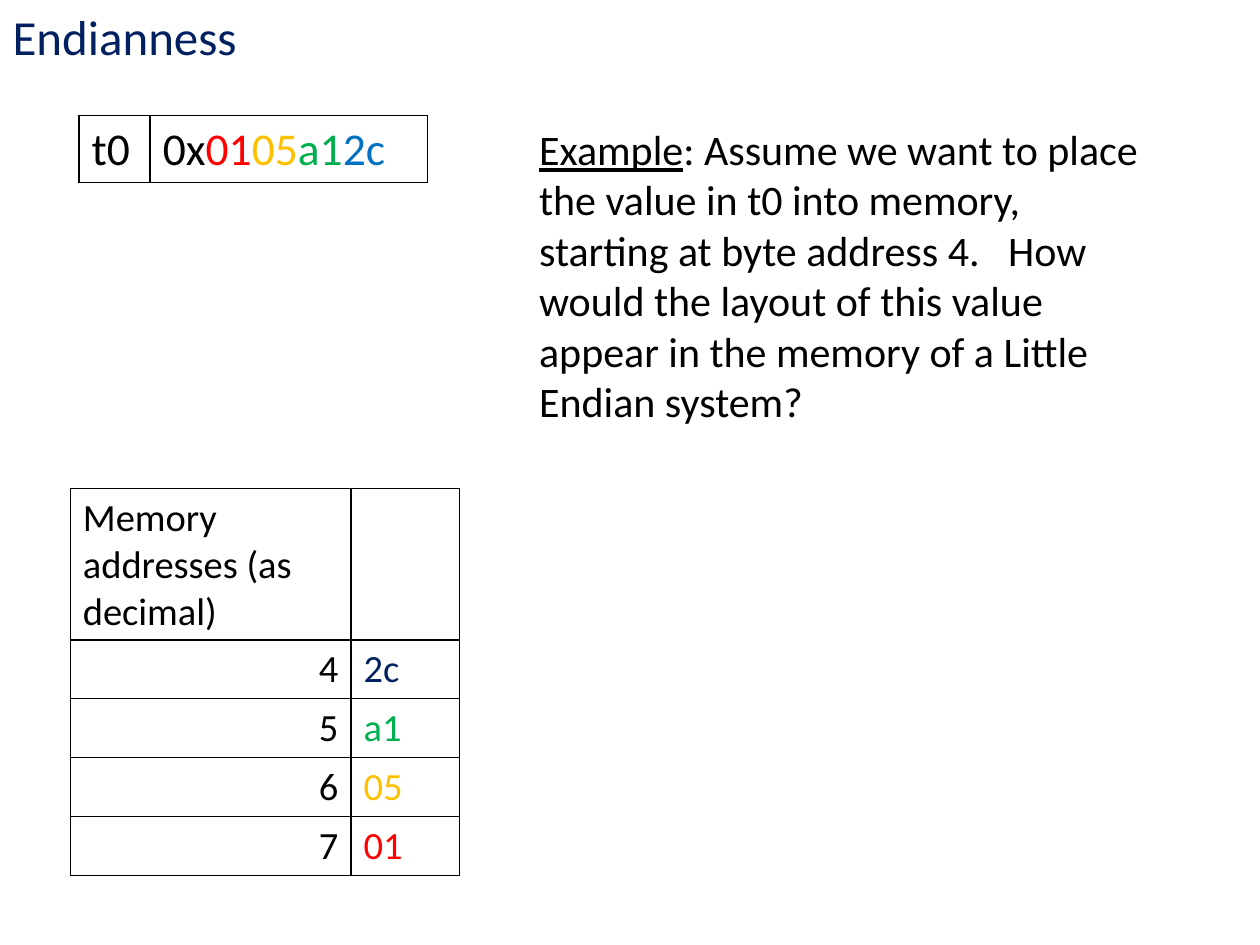
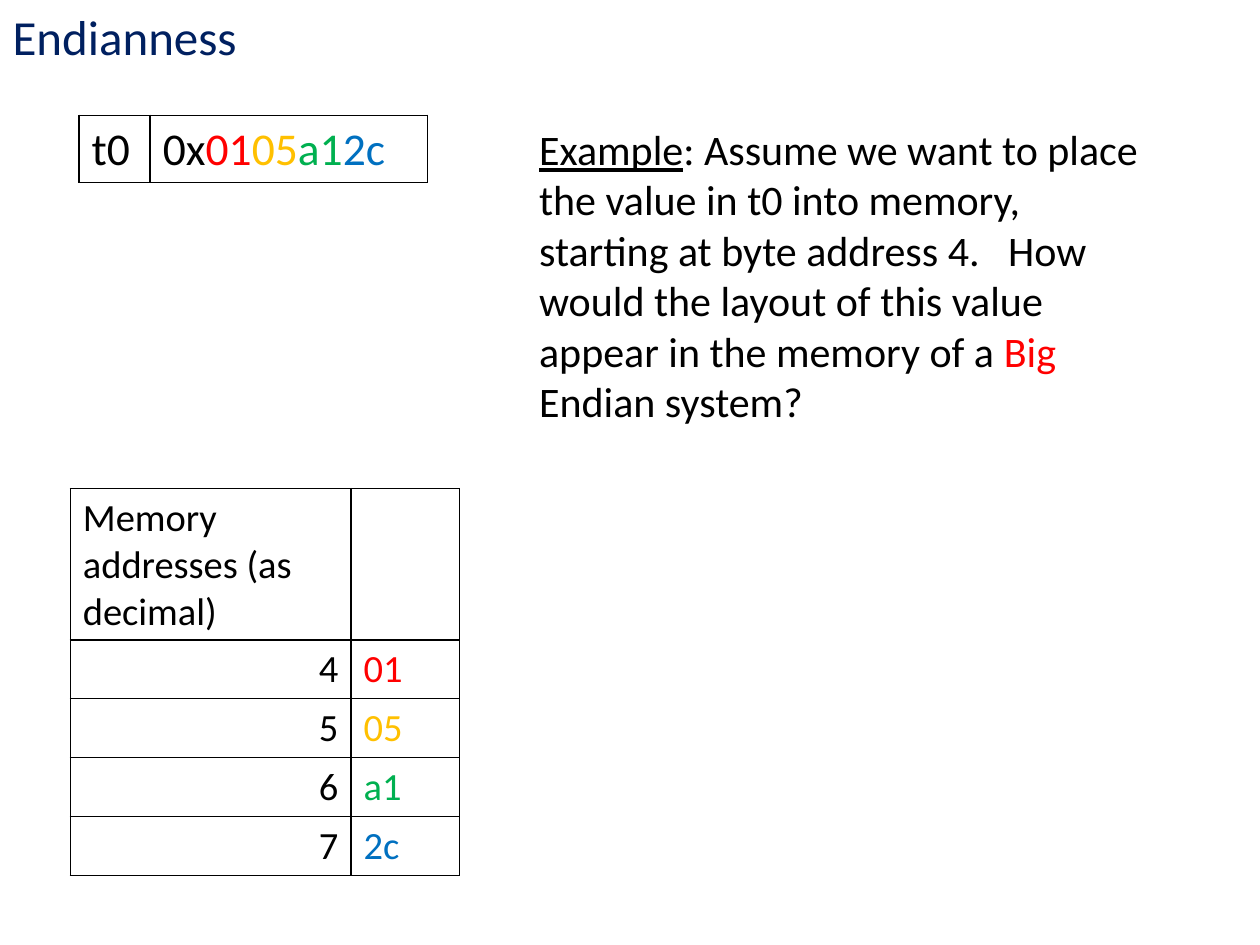
"""Build two slides that compare little and big endian memory layouts."""
import dataclasses

import lxml.etree
import pptx
import pptx.dml.color
import pptx.enum.text
import pptx.oxml.ns
import pptx.util

Pt = pptx.util.Pt


@dataclasses.dataclass(frozen=True)
class Theme:
    font: str = "Calibri"
    black: str = "000000"
    navy: str = "002060"
    red: str = "FF0000"
    amber: str = "FFC000"
    green: str = "00B050"
    blue: str = "0070C0"
    title_size: int = 28
    register_size: int = 26
    question_size: int = 24
    memory_size: int = 22
    border_width: int = 1


THEME = Theme()

TITLE = "Endianness"
REGISTER = "t0"
REGISTER_BYTES = [("01", THEME.red), ("05", THEME.amber), ("a1", THEME.green), ("2c", THEME.blue)]
MEMORY_HEADING = "Memory addresses (as decimal)"
FIRST_ADDRESS = 4
QUESTION = (
    ": Assume we want to place the value in t0 into memory, starting at byte address 4.   "
    "How would the layout of this value appear in the memory of a "
)
SLIDES = [
    {
        "order": ("Little", THEME.black),
        "memory": [("2c", THEME.navy)] + REGISTER_BYTES[-2::-1],
    },
    {"order": ("Big", THEME.red), "memory": REGISTER_BYTES},
]

TITLE_BOX = (0, 0, 677.5, 41.2)
QUESTION_BOX = (301, 67, 360, 181.6)
REGISTER_ORIGIN = (45.2, 66)
REGISTER_COLUMNS = [40.6, 158.6]
REGISTER_ROWS = [38.2]
MEMORY_ORIGIN = (40.2, 279.2)
MEMORY_COLUMNS = [160.4, 62]
MEMORY_ROWS = [86.4] + [33.65] * len(REGISTER_BYTES)

ALIGN = pptx.enum.text.PP_ALIGN


def write_runs(text_frame, pieces, size, alignment=ALIGN.LEFT):
    paragraph = text_frame.paragraphs[0]
    paragraph.alignment = alignment
    for text, color in pieces:
        run = paragraph.add_run()
        run.text = text
        run.font.name = THEME.font
        run.font.size = Pt(size)
        run.font.color.rgb = pptx.dml.color.RGBColor.from_string(color)
    return paragraph


def outline_cell(cell):
    properties = cell._tc.get_or_add_tcPr()
    for side in ("lnL", "lnR", "lnT", "lnB"):
        line = lxml.etree.SubElement(properties, pptx.oxml.ns.qn("a:" + side))
        line.set("w", str(Pt(THEME.border_width)))
        fill = lxml.etree.SubElement(line, pptx.oxml.ns.qn("a:solidFill"))
        color = lxml.etree.SubElement(fill, pptx.oxml.ns.qn("a:srgbClr"))
        color.set("val", THEME.black)
    cell.fill.background()


def add_grid(slide, origin, columns, rows, contents, size):
    box = (*origin, sum(columns), sum(rows))
    frame = slide.shapes.add_table(len(rows), len(columns), *map(Pt, box))
    table = frame.table
    table.first_row = table.horz_banding = False
    for column, width in zip(table.columns, columns):
        column.width = Pt(width)
    for row, height, row_contents in zip(table.rows, rows, contents):
        row.height = Pt(height)
        for cell, (pieces, alignment) in zip(row.cells, row_contents):
            write_runs(cell.text_frame, pieces, size, alignment)
            outline_cell(cell)


def add_title(slide):
    title = slide.shapes.title
    title.left, title.top, title.width, title.height = map(Pt, TITLE_BOX)
    title.text_frame.vertical_anchor = pptx.enum.text.MSO_ANCHOR.TOP
    title.text_frame.auto_size = pptx.enum.text.MSO_AUTO_SIZE.SHAPE_TO_FIT_TEXT
    write_runs(title.text_frame, [(TITLE, THEME.navy)], THEME.title_size)


def add_register(slide):
    value = [("0x", THEME.black)] + REGISTER_BYTES
    contents = [[([(REGISTER, THEME.black)], ALIGN.LEFT), (value, ALIGN.LEFT)]]
    add_grid(slide, REGISTER_ORIGIN, REGISTER_COLUMNS, REGISTER_ROWS, contents, THEME.register_size)


def add_memory(slide, memory):
    contents = [[([(MEMORY_HEADING, THEME.black)], ALIGN.LEFT), ([], ALIGN.LEFT)]]
    for address, byte in enumerate(memory, FIRST_ADDRESS):
        contents.append([([(str(address), THEME.black)], ALIGN.RIGHT), ([byte], ALIGN.LEFT)])
    add_grid(slide, MEMORY_ORIGIN, MEMORY_COLUMNS, MEMORY_ROWS, contents, THEME.memory_size)


def add_question(slide, order):
    text_frame = slide.shapes.add_textbox(*map(Pt, QUESTION_BOX)).text_frame
    text_frame.word_wrap = True
    text_frame.auto_size = pptx.enum.text.MSO_AUTO_SIZE.SHAPE_TO_FIT_TEXT
    pieces = [
        ("Example", THEME.black),
        (QUESTION, THEME.black),
        order,
        (" Endian system?", THEME.black),
    ]
    paragraph = write_runs(text_frame, pieces, THEME.question_size)
    paragraph.runs[0].font.underline = True


presentation = pptx.Presentation()
presentation.slide_width, presentation.slide_height = Pt(720), Pt(540)
for content in SLIDES:
    slide = presentation.slides.add_slide(presentation.slide_layouts.get_by_name("Title Only"))
    add_title(slide)
    add_register(slide)
    add_memory(slide, content["memory"])
    add_question(slide, content["order"])
presentation.save("out.pptx")
